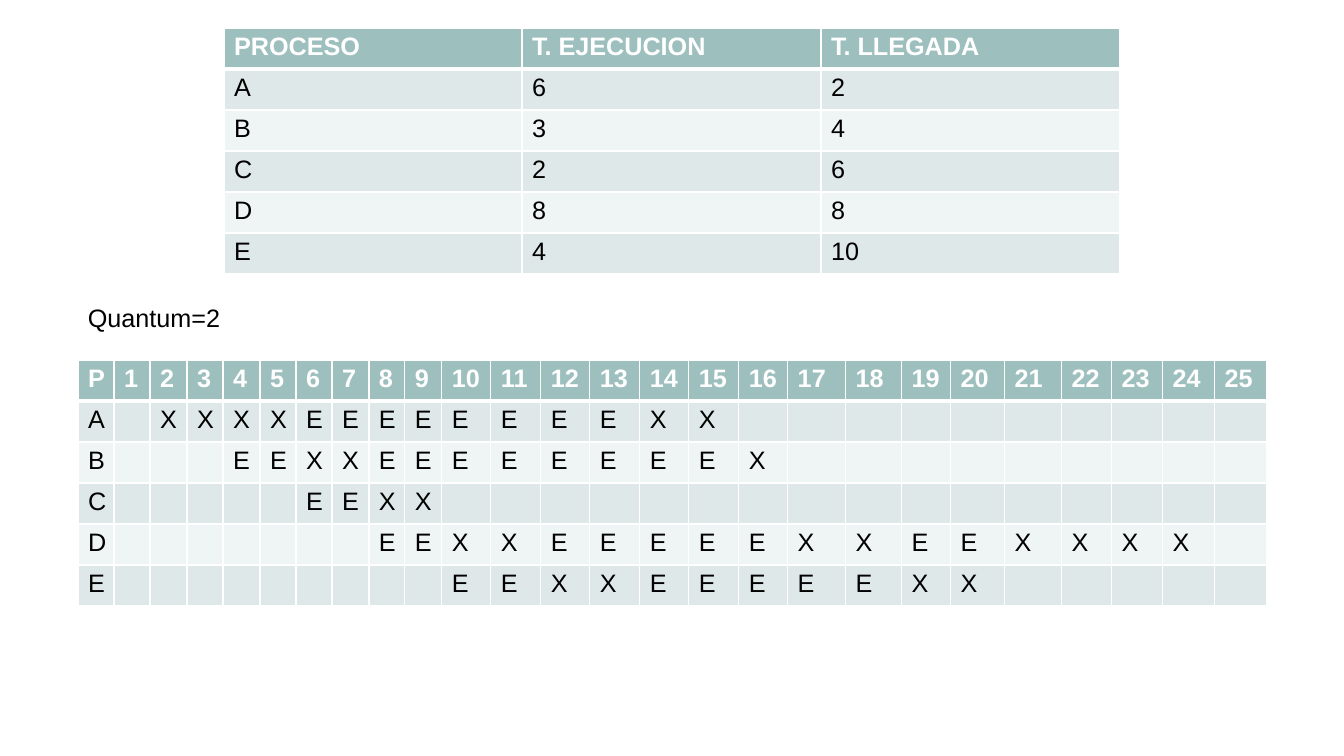
from itertools import pairwise

from lxml.etree import SubElement as Sub
from pptx import Presentation
from pptx.dml.color import RGBColor as Rgb
from pptx.oxml.ns import qn
from pptx.util import Emu, Pt

COLORS = {
    "head": "9DBFBE",
    "odd": "DFE8E8",
    "even": "EFF4F4",
    "light": "FFFFFF",
    "dark": "000000",
}
HEADS = ["PROCESO", "T. EJECUCION", "T. LLEGADA"]
TASKS = [("A", 6, 2), ("B", 3, 4), ("C", 2, 6), ("D", 8, 8), ("E", 4, 10)]
STEPS = {
    "A": "XXXXEEEEEEEEXX",
    "B": "EEXXEEEEEEEEX",
    "C": "EEXX",
    "D": "EEXXEEEEEXXEEXXXX",
    "E": "EEXXEEEEEXX",
}
SLOTS = 25
ROW = 41
TASK_EDGES = [224 + 896 * k // 3 for k in range(4)]
TIME_EDGES = [78 + 364 * k // 10 for k in range(10)] + [
    442, 491, 541, 590, 640, 689, 739, 788, 846,
    902, 951, 1005, 1062, 1112, 1163, 1215, 1267,
]


def px(count):
    """Turn pixels into EMU."""
    return Emu(round(count * 914400 / 100.8))


def style(para, color, bold=False):
    """Set the font of a paragraph."""
    font = para.font
    font.name, font.size, font.bold = "Arial", Pt(18), bold
    font.color.rgb = Rgb.from_string(COLORS[color])


def border(cell, side, width):
    """Draw one white side of a cell."""
    line = Sub(cell.get_or_add_tcPr(), qn(f"a:ln{side}"), w=str(Pt(width)))
    fill = Sub(line, qn("a:solidFill"))
    Sub(fill, qn("a:srgbClr"), val=COLORS["light"])


def paint(cell, text, row):
    """Fill, frame and letter a cell by its row."""
    head = row == 0
    for side in "LRTB":
        thick = (head and side == "B") or (row == 1 and side == "T")
        border(cell._tc, side, 3 if thick else 1)
    cell.fill.solid()
    tone = "head" if head else "odd" if row % 2 else "even"
    cell.fill.fore_color.rgb = Rgb.from_string(COLORS[tone])
    cell.text = str(text)
    style(cell.text_frame.paragraphs[0], "light" if head else "dark", head)


def grid(slide, top, edges, rows):
    """Add a table whose columns lie between the edges."""
    frame = slide.shapes.add_table(
        len(rows), len(edges) - 1, px(edges[0]), px(top),
        px(edges[-1] - edges[0]), px(ROW * len(rows)))
    table = frame.table
    for col, (left, right) in zip(table.columns, pairwise(edges)):
        col.width = px(right - left)
    for y, row in enumerate(rows):
        table.rows[y].height = px(ROW)
        for x, text in enumerate(row):
            paint(table.cell(y, x), text, y)


def label(slide, text, left, top, width, height):
    """Add a line of text."""
    box = slide.shapes.add_textbox(px(left), px(top), px(width), px(height))
    frame = box.text_frame
    frame.word_wrap = True
    frame.text = text
    style(frame.paragraphs[0], "dark")


def times():
    """Build the rows of the schedule, each starting at its arrival."""
    rows = [["P", *range(1, SLOTS + 1)]]
    for name, _, start in TASKS:
        marks = " " * (start - 1) + STEPS[name]
        rows.append([name, *(mark.strip() for mark in marks.ljust(SLOTS))])
    return rows


def main():
    """Build and save the slide."""
    deck = Presentation()
    deck.slide_width, deck.slide_height = px(1344), px(756)
    slide = deck.slides.add_slide(deck.slide_layouts[6])
    grid(slide, 28, TASK_EDGES, [HEADS, *TASKS])
    grid(slide, 360, TIME_EDGES, times())
    label(slide, "Quantum=2", 78, 297, 179, 40)
    deck.save("out.pptx")


if __name__ == "__main__":
    main()
